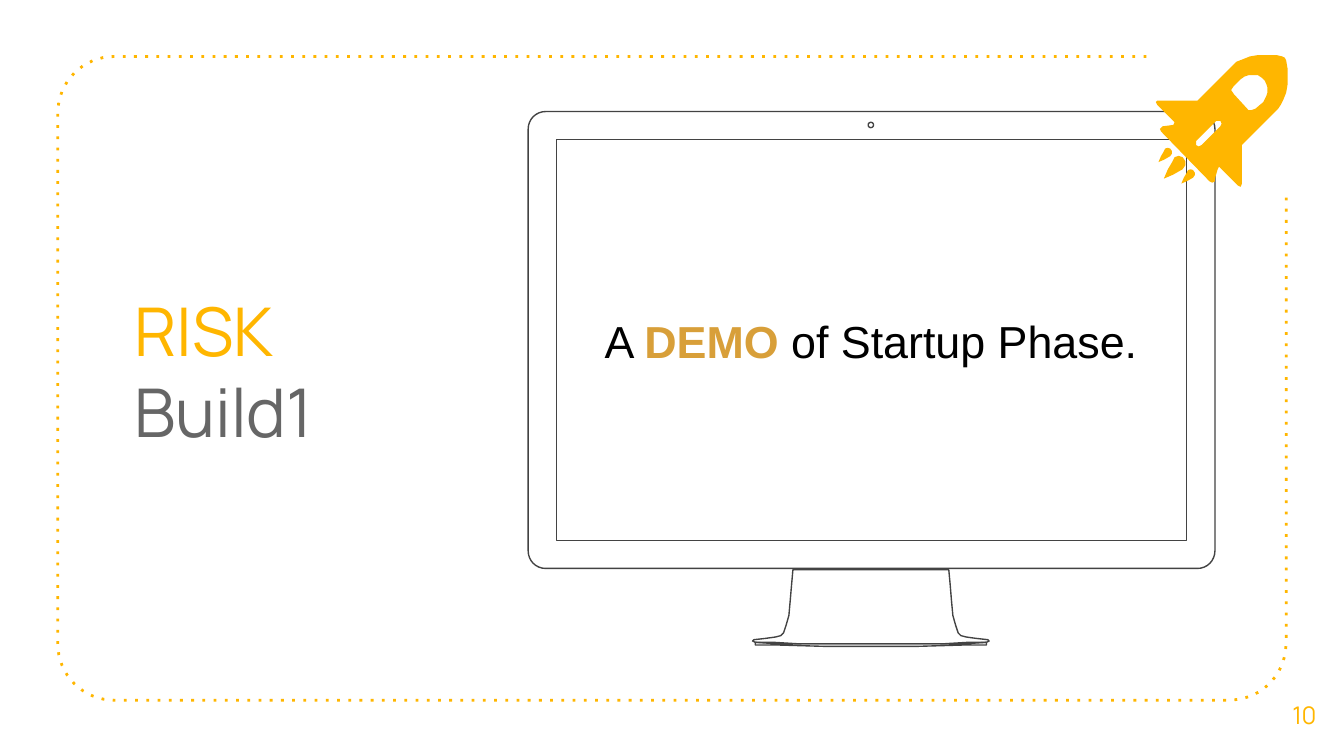
from math import cos, radians, sin

from pptx import Presentation
from pptx.dml.color import RGBColor
from pptx.enum.dml import MSO_LINE
from pptx.enum.text import MSO_ANCHOR, MSO_AUTO_SIZE, PP_ALIGN
from pptx.util import Emu, Pt

SLIDE_WIDTH = 1000
SCALE = 9144
YELLOW = RGBColor(0xFF, 0xB6, 0x00)
GOLD = RGBColor(0xD8, 0x9F, 0x39)
GRAY = RGBColor(0x66, 0x66, 0x66)
DARK = RGBColor(0x43, 0x43, 0x43)
WHITE = RGBColor(0xFF, 0xFF, 0xFF)
BLACK = RGBColor(0x00, 0x00, 0x00)
DOTTED = MSO_LINE.ROUND_DOT
MIDDLE = MSO_ANCHOR.MIDDLE
NO_FIT = MSO_AUTO_SIZE.NONE
LEFT, CENTER = PP_ALIGN.LEFT, PP_ALIGN.CENTER

MONITOR_AXIS = 648
STAND_HALF = [(590, 424), (589, 435), (588, 447), (587, 458), (585, 465), (583, 471),
              (581, 473), (577, 474), (570, 475), (561, 476), (560, 477), (562, 478),
              (576, 478), (593, 479)]
FOOT_HALF = [(615, 479), (578, 479), (562, 478), (562, 480), (580, 480), (615, 481)]

ROCKET_WINDOW = [(932, 56), (936, 56), (939, 58), (941, 60), (942, 62), (943, 65),
                 (943, 69), (942, 72), (940, 76), (934, 81), (931, 82), (929, 82),
                 (918, 70), (916, 67), (918, 64), (923, 59), (926, 57), (929, 56)]
ROCKET_SLOT = [(906, 90), (908, 90), (909, 92), (908, 94), (894, 108), (892, 109),
               (890, 108), (890, 105), (905, 90)]
ROCKET_BODY = [(942, 41), (936, 41), (930, 42), (925, 44), (920, 46), (918, 48),
               (891, 75), (861, 75), (860, 76), (861, 78), (874, 91), (873, 93),
               (865, 94), (863, 96), (864, 98), (900, 135), (902, 136), (904, 135),
               (904, 133), (906, 126), (907, 124), (921, 138), (923, 139), (924, 137),
               (924, 108), (951, 81), (953, 78), (955, 74), (957, 69), (958, 63),
               (958, 51), (957, 45), (956, 43), (954, 42), (950, 41)]
FLAME = [(11, 0), (8, 1), (6, 5), (3, 10), (0, 17), (7, 14), (14, 10), (16, 7),
         (16, 4), (14, 1)]
FLAME_WIDTH = 16
FLAME_PLACES = [(866, 116, 16), (879, 126, 10), (862, 110, 10)]


def px(length):
    return Emu(round(length * SCALE))


def set_attributes(target, values):
    for name, value in values.items():
        setattr(target, name, value)


def arc(center_x, center_y, radius, start, end, steps=8):
    angles = [radians(start + (end - start) * step / steps) for step in range(steps + 1)]
    return [(center_x + radius * cos(angle), center_y + radius * sin(angle))
            for angle in angles]


def rounded_rectangle(left, top, right, bottom, radius):
    corners = [(left + radius, top + radius, 270), (left + radius, bottom - radius, 180),
               (right - radius, bottom - radius, 90), (right - radius, top + radius, 0)]
    return [point for x, y, start in corners
            for point in arc(x, y, radius, start, start - 90)]


def mirrored(half):
    return half + [(2 * MONITOR_AXIS - x, y) for x, y in reversed(half)]


def add_outline(slide, contours, fill=None, line=None, width=0, close=True):
    scaled = [[(px(x), px(y)) for x, y in contour] for contour in contours]
    builder = slide.shapes.build_freeform(*scaled[0][0], scale=1.0)
    for index, contour in enumerate(scaled):
        if index:
            builder.move_to(*contour[0])
        builder.add_line_segments(contour[1:], close=close)
    shape = builder.convert_to_shape()
    shape.shadow.inherit = False
    if fill is None:
        shape.fill.background()
    else:
        shape.fill.solid()
        shape.fill.fore_color.rgb = fill
    if line is None:
        shape.line.fill.background()
    else:
        shape.line.color.rgb = line
        shape.line.width = Pt(width)
    return shape


def format_text(shape, box, runs, font, paragraph_format, bottom_margin=10):
    set_attributes(shape, dict(zip(("left", "top", "width", "height"), map(px, box))))
    frame = shape.text_frame
    set_attributes(frame, {
        "word_wrap": True, "auto_size": NO_FIT, "vertical_anchor": MIDDLE,
        "margin_left": px(10), "margin_right": px(10),
        "margin_top": px(10), "margin_bottom": px(bottom_margin)})
    paragraph = frame.paragraphs[0]
    set_attributes(paragraph, paragraph_format)
    for text, color, bold in runs:
        run = paragraph.add_run()
        run.text = text
        set_attributes(run.font, {**font, "bold": bold})
        run.font.color.rgb = color


def add_text(slide, box, runs, font, paragraph_format):
    shape = slide.shapes.add_textbox(*map(px, box))
    format_text(shape, box, runs, font, paragraph_format)


def add_frame(slide):
    contour = [(853, 42), *arc(85, 84, 42, 270, 180), *arc(85, 479, 42, 180, 90),
               *arc(915, 479, 42, 90, 0), (957, 146)]
    frame = add_outline(slide, [contour], line=YELLOW, width=1.5, close=False)
    frame.line.dash_style = DOTTED
    frame.element.xpath(".//a:prstDash")[0].set("val", "dot")


def add_monitor(slide):
    camera = arc(MONITOR_AXIS, 93, 2, 0, 360, 16)
    screen = [(883, 104), (883, 402), (414, 402), (414, 104)]
    case = rounded_rectangle(393, 83, 904, 423, 13)
    contours = [camera, screen, case, mirrored(STAND_HALF), mirrored(FOOT_HALF)]
    add_outline(slide, contours, WHITE, DARK, 0.75)


def add_rocket(slide):
    parts = [add_outline(slide, [ROCKET_WINDOW, ROCKET_SLOT, ROCKET_BODY], YELLOW)]
    for left, top, width in FLAME_PLACES:
        ratio = width / FLAME_WIDTH
        flame = [(left + x * ratio, top + y * ratio) for x, y in FLAME]
        parts.append(add_outline(slide, [flame], YELLOW))
    slide.shapes.add_group_shape(parts)


def main():
    presentation = Presentation()
    presentation.slide_width = px(SLIDE_WIDTH)
    presentation.slide_height = px(SLIDE_WIDTH * 9 / 16)
    slide = presentation.slides.add_slide(presentation.slide_layouts[5])
    add_frame(slide)
    add_monitor(slide)
    add_text(slide, (414, 104, 468, 299),
             [("A ", BLACK, False), ("DEMO", GOLD, True),
              (" of Startup Phase.", BLACK, False)],
             {"name": "Arial", "size": Pt(24)},
             {"alignment": CENTER, "space_before": Pt(6)})
    add_text(slide, (941, 502, 59, 60), [("10", YELLOW, False)],
             {"name": "Manrope", "size": Pt(13)}, {"alignment": CENTER})
    format_text(slide.shapes.title, (90, 42, 248, 480),
                [("RISK ", YELLOW, False), ("Build1", GRAY, False)],
                {"name": "Manrope", "size": Pt(36)},
                {"alignment": LEFT, "space_before": Pt(0), "line_spacing": Pt(43.4)},
                bottom_margin=23)
    add_rocket(slide)
    presentation.save("out.pptx")


if __name__ == "__main__":
    main()
